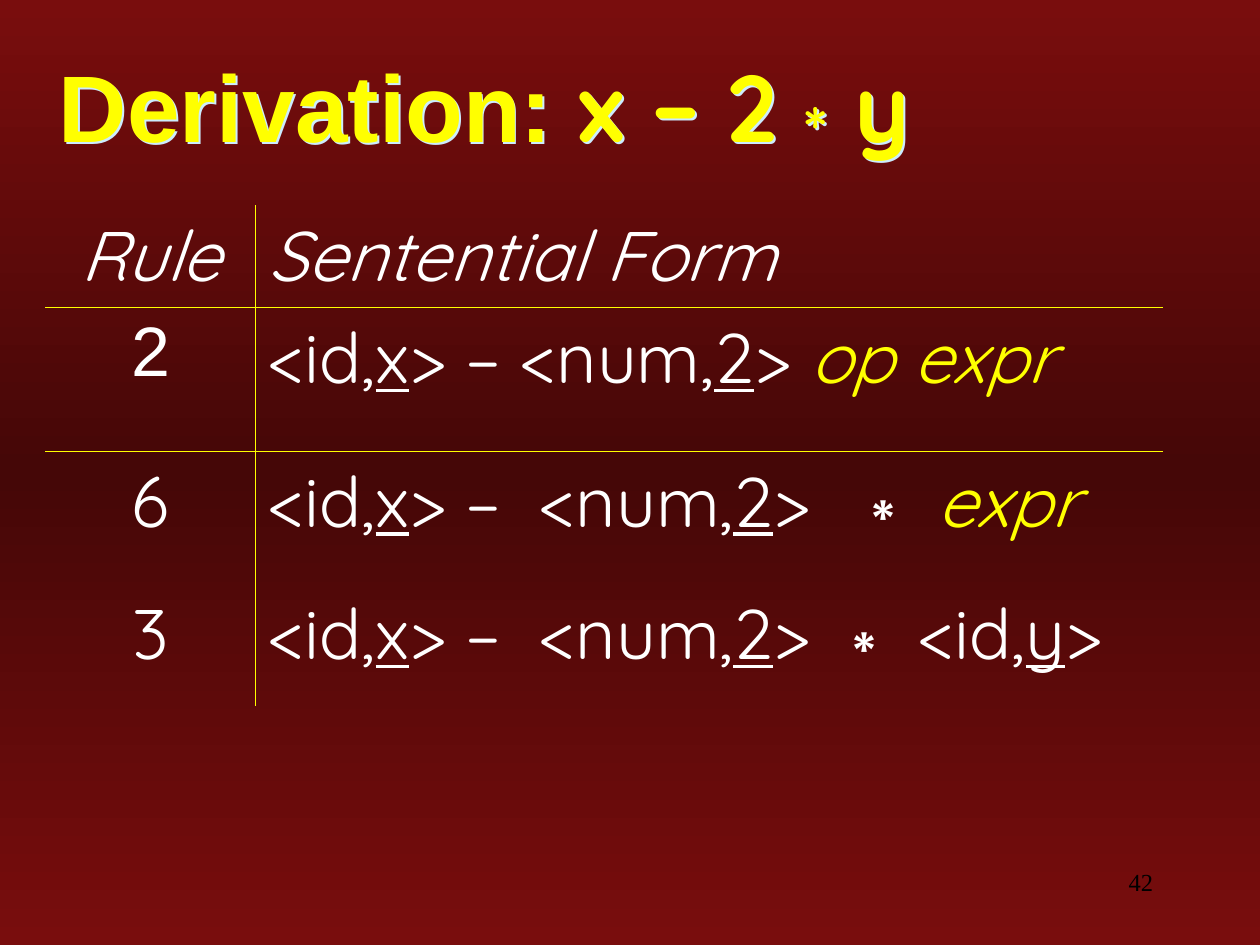
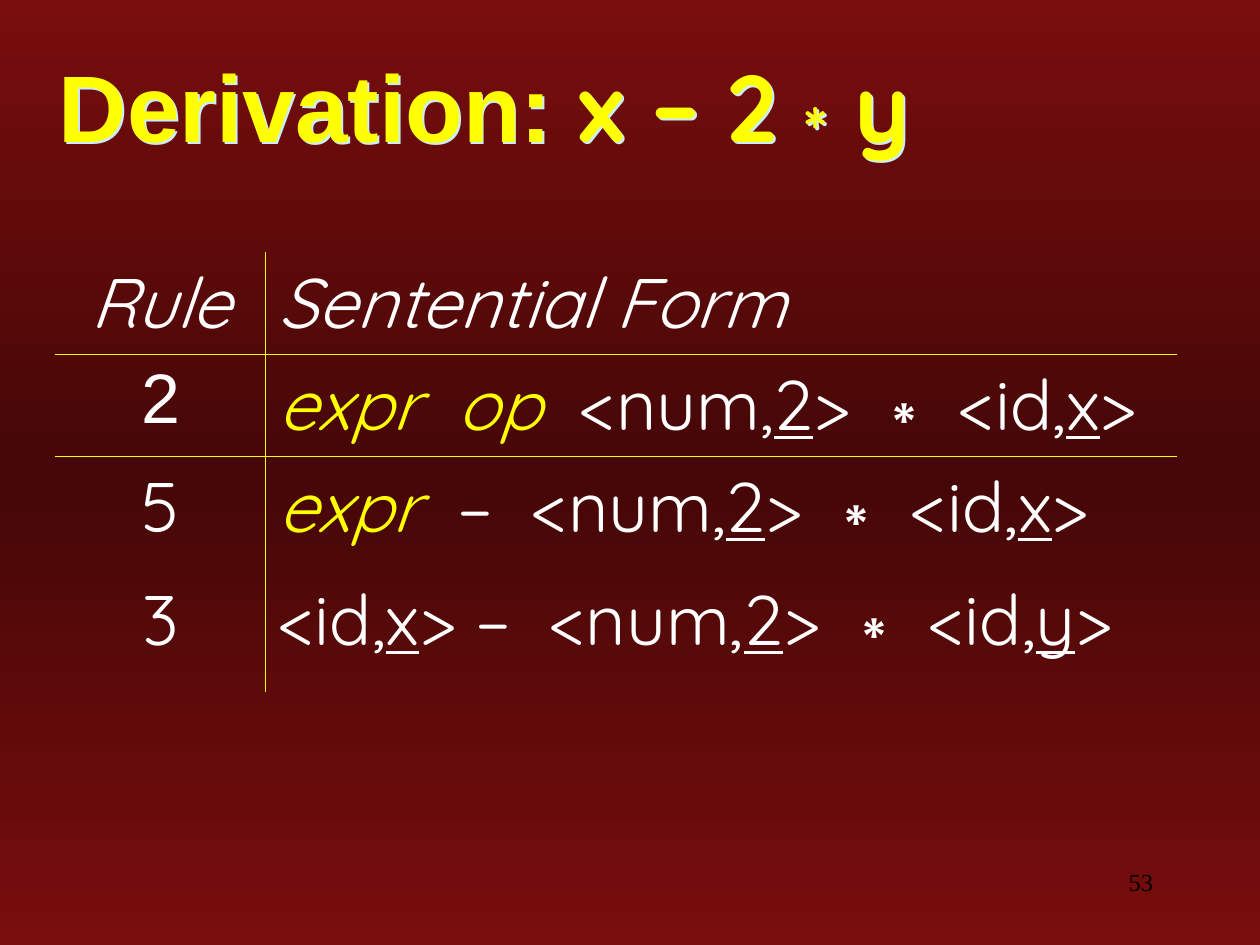
from copy import deepcopy

from lxml import etree
from pptx import Presentation
from pptx.dml.color import RGBColor
from pptx.enum import text
from pptx.oxml import ns
from pptx.util import Inches, Pt

DARK_RED, DEEP_RED = "790D0D", "450707"
YELLOW, WHITE, BLACK, GLOW = "FFFF00", "FFFFFF", "000000", "CCECFF"
SANS, ROUND, SERIF = "Arial", "Quicksand", "Times New Roman"
NO_GRID = "{2D5ABB26-0587-4C30-8999-92F81FD0307C}"

PLAIN = dict(font=ROUND, size=40, color=WHITE)
HEADING = dict(PLAIN, italic=True)
LEXEME = dict(PLAIN, underline=True)
SYMBOL = dict(PLAIN, font=SANS)
NONTERMINAL = dict(HEADING, color=YELLOW)
TITLE = dict(font=ROUND, size=54, color=YELLOW, bold=True)
NUMBER = dict(font=SERIF, size=14, color=BLACK)


def rgb(value):
    """Turn a hex string into a colour."""
    return RGBColor.from_string(value)


def add_xml(parent, tag, **attributes):
    """Append a drawing element to a parent and return it."""
    child = etree.SubElement(parent, ns.qn(tag))
    for name, value in attributes.items():
        child.set(name, str(value))
    return child


def write(para, spans):
    """Add styled (text, style) spans to a paragraph."""
    for words, style in spans:
        span = para.add_run()
        span.text = words
        font = span.font
        font.name, font.size = style["font"], Pt(style["size"])
        font.color.rgb = rgb(style["color"])
        font.bold = style.get("bold", False)
        font.italic = style.get("italic", False)
        font.underline = style.get("underline", False)
        if "baseline" in style:
            span._r.get_or_add_rPr().set("baseline", str(style["baseline"]))


def token(kind, lexeme, before="", after=""):
    """Return the spans of a token with its lexeme underlined."""
    return [(f"{before}<{kind},", PLAIN), (lexeme, LEXEME), (f">{after}", PLAIN)]


def paint_background(page):
    """Fill the page with a vertical gradient, darkest in the middle."""
    fill = page.background.fill
    fill.gradient()
    fill.gradient_angle = 90
    stops = page.background._cSld.find(".//" + ns.qn("a:gsLst"))
    stops.append(deepcopy(stops[-1]))
    for stop, place, color in zip(fill.gradient_stops, (0, 0.5, 1),
                                  (DARK_RED, DEEP_RED, DARK_RED)):
        stop.position = place
        stop.color.rgb = rgb(color)


def add_text(page, left, top, width, height, spans):
    """Add a wrapping text box with one paragraph."""
    box = page.shapes.add_textbox(Inches(left), Inches(top), Inches(width), Inches(height))
    box.text_frame.word_wrap = True
    write(box.text_frame.paragraphs[0], spans)
    return box


def add_title(page):
    """Add the title with its pale shadow."""
    box = add_text(page, 0.37, 0.36, 9.63, 0.83, [
        ("Derivation: ", dict(TITLE, font=SANS)),
        ("x – 2 ", TITLE),
        ("*", dict(TITLE, size=66, baseline=-10000)),
        (" y", TITLE),
    ])
    box.text_frame.vertical_anchor = text.MSO_ANCHOR.MIDDLE
    effects = add_xml(box._element.spPr, "a:effectLst")
    shadow = add_xml(effects, "a:outerShdw", dist=Pt(1.5), dir=2700000)
    add_xml(shadow, "a:srgbClr", val=GLOW)


def add_border(cell, side, color):
    """Draw a hairline on one side of a cell."""
    line = add_xml(cell._tc.get_or_add_tcPr(), f"a:ln{side}", w=Pt(0.45))
    add_xml(add_xml(line, "a:solidFill"), "a:srgbClr", val=color)


def add_derivation(page, left, top, widths, heights, steps):
    """Add the table of rules and sentential forms."""
    rows = [([("Rule", HEADING)], [("Sentential Form", HEADING)])]
    for index, (rule, form) in enumerate(steps):
        rows.append(([(rule, PLAIN if index else SYMBOL)], form))
    frame = page.shapes.add_table(len(rows), len(widths), Inches(left), Inches(top),
                                  Inches(sum(widths)), Inches(sum(heights)))
    table = frame.table
    table.first_row = table.horz_banding = False
    table._tbl.tblPr.find(ns.qn("a:tableStyleId")).text = NO_GRID
    for column, width in zip(table.columns, widths):
        column.width = Inches(width)
    for row_index, (row, height) in enumerate(zip(rows, heights)):
        table.rows[row_index].height = Inches(height)
        for column_index, spans in enumerate(row):
            cell = table.cell(row_index, column_index)
            para = cell.text_frame.paragraphs[0]
            para.space_before = Pt(10)
            if column_index == 0:
                para.alignment = text.PP_ALIGN.CENTER
            write(para, spans)
            add_border(cell, "L" if column_index else "R", YELLOW)
            if row_index < 2:
                add_border(cell, "T" if row_index else "B", YELLOW)
            cell.fill.background()


def add_page(deck, number, **derivation):
    """Add a slide with title, derivation table and page number."""
    page = deck.slides.add_slide(deck.slide_layouts[6])
    paint_background(page)
    add_title(page)
    add_derivation(page, **derivation)
    box = add_text(page, 7.17, 6.83, 2.08, 0.5, [(number, NUMBER)])
    box.text_frame.paragraphs[0].alignment = text.PP_ALIGN.RIGHT


def main():
    """Build both derivations and save the deck."""
    deck = Presentation()
    deck.slide_width, deck.slide_height = Inches(10), Inches(7.5)
    id_x = token("id", "x", after=" –")
    times_x = [("∗ ", SYMBOL)] + token("id", "x")
    num = token("num", "2", after=" ")
    last_step = ("3", id_x + token("num", "2", "  ", " ")
                 + [("∗", SYMBOL)] + token("id", "y", " "))
    add_page(deck, "42", left=0.36, top=1.63, widths=(1.67, 7.2),
             heights=(0.81, 1.14, 1.05, 0.97), steps=[
                 ("2", id_x + token("num", "2", " ") + [(" op expr", NONTERMINAL)]),
                 ("6", id_x + token("num", "2", "  ", "  ")
                  + [("∗ ", SYMBOL), ("expr", NONTERMINAL)]),
                 last_step])
    add_page(deck, "53", left=0.44, top=2, widths=(1.67, 7.23),
             heights=(0.81, 0.81, 0.9, 0.97), steps=[
                 ("2", [("expr  op  ", NONTERMINAL)] + num + times_x),
                 ("5", [("expr  ", NONTERMINAL), ("–  ", PLAIN)] + num + times_x),
                 last_step])
    deck.save("out.pptx")


if __name__ == "__main__":
    main()
